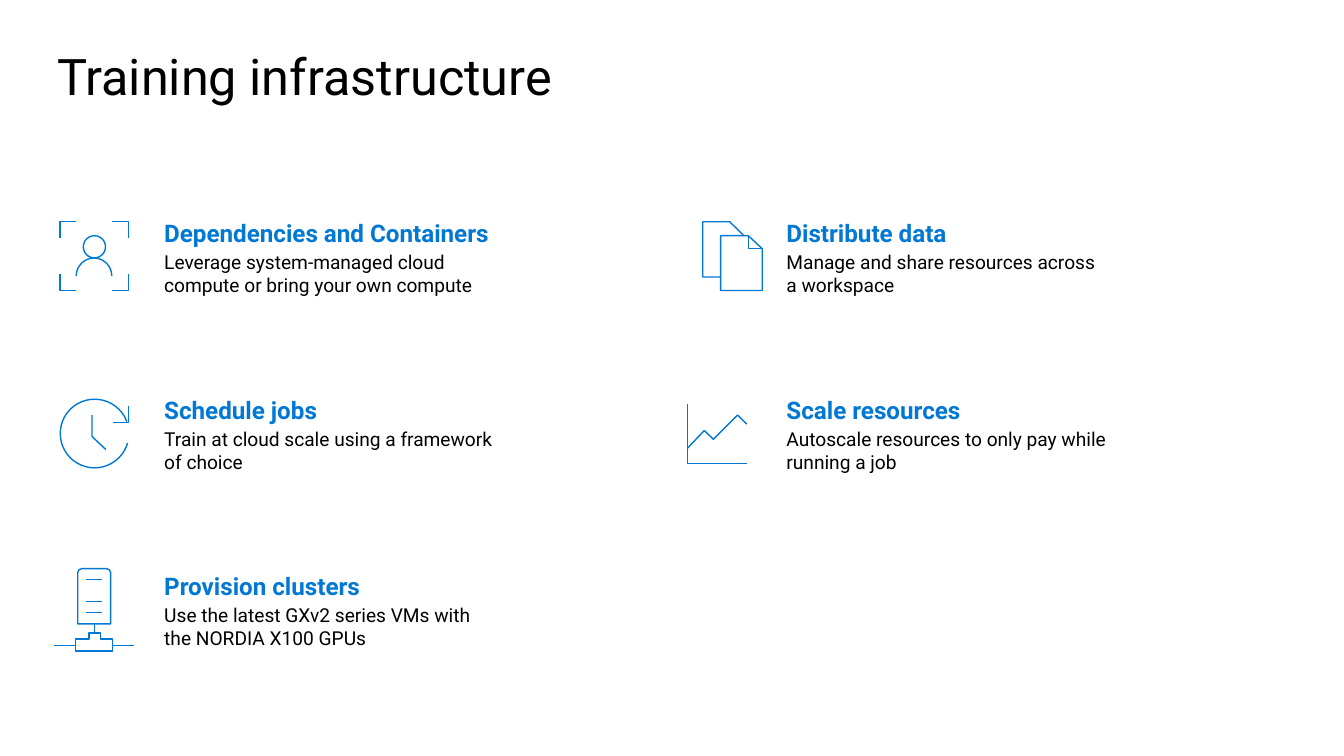
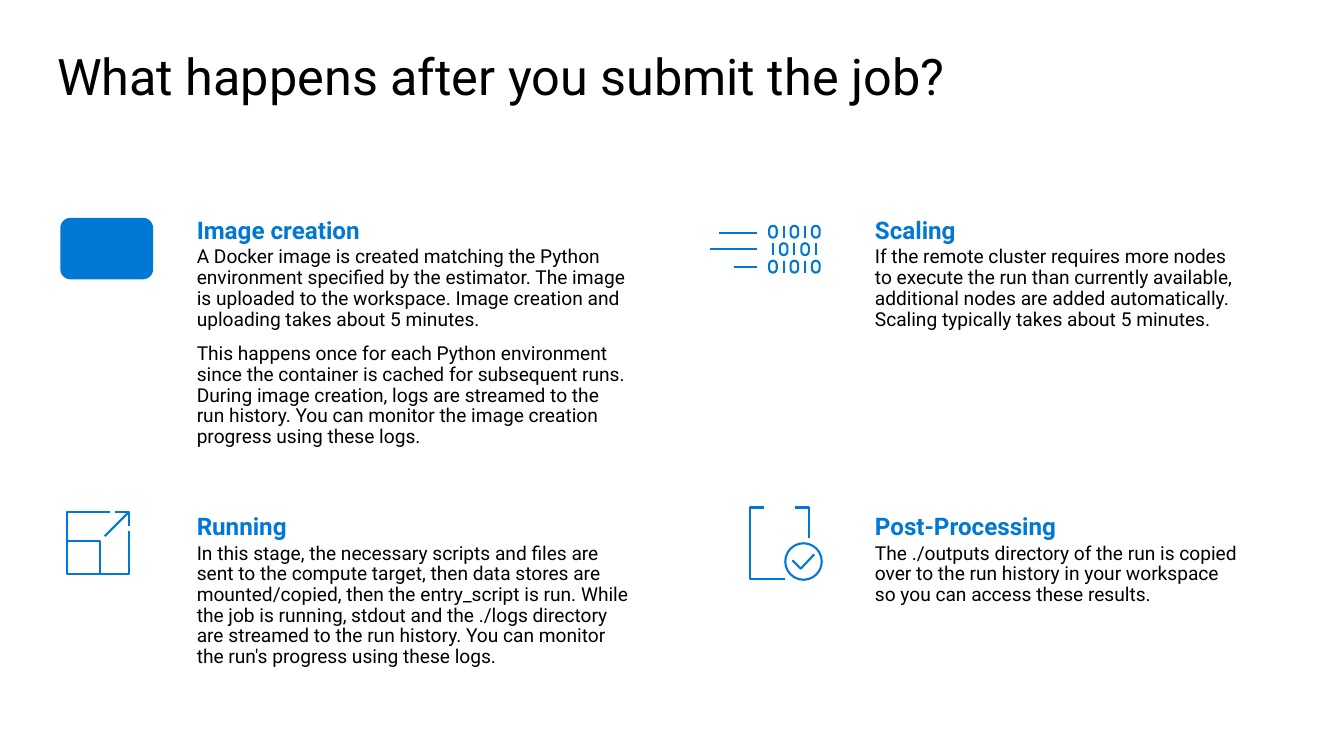
from lxml.etree import SubElement
from pptx import Presentation
from pptx.dml.color import RGBColor
from pptx.enum.shapes import MSO_CONNECTOR, MSO_SHAPE
from pptx.enum.text import MSO_ANCHOR, MSO_AUTO_SIZE, PP_ALIGN
from pptx.oxml.ns import qn
from pptx.util import Cm, Pt

BLUE = RGBColor(0x00, 0x78, 0xD4)
BLACK = RGBColor(0x00, 0x00, 0x00)
FONT = "Roboto"
THIN = Pt(1)
MEDIUM = Pt(1.5)


def format_runs(paragraph, size, color, bold=False):
    for run in paragraph.runs:
        run.font.name = FONT
        run.font.size = Pt(size)
        run.font.color.rgb = color
        run.font.bold = bold


def outline_shape(shape, weight):
    shape.shadow.inherit = False
    shape.fill.background()
    shape.line.color.rgb = BLUE
    shape.line.width = weight


presentation = Presentation()
presentation.slide_width = Cm(33.87)
presentation.slide_height = Cm(19.05)

row_tops = [5.38 + 4.45 * row for row in range(3)]
infrastructure_topics = [
    (3.89, row_tops[0], 9.27, 2.26, "Dependencies and Containers",
     ["Leverage system-managed cloud compute or bring your own compute"]),
    (19.57, row_tops[0], 8.4, 2.26, "Distribute data",
     ["Manage and share resources across a workspace"]),
    (3.89, row_tops[1], 8.79, 2.26, "Schedule jobs",
     ["Train at cloud scale using a framework of choice"]),
    (19.57, row_tops[1], 8.79, 2.26, "Scale resources",
     ["Autoscale resources to only pay while running a job"]),
    (3.89, row_tops[2], 8.79, 2.26, "Provision clusters",
     ["Use the latest GXv2 series VMs with the NORDIA X100 GPUs"]),
]
job_topics = [
    (4.71, 5.38, 11.43, 6.1, "Image creation",
     ["A Docker image is created matching the Python environment specified by the "
      "estimator. The image is uploaded to the workspace. Image creation and "
      "uploading takes about 5 minutes.",
      "This happens once for each Python environment since the container is cached "
      "for subsequent runs. During image creation, logs are streamed to the run "
      "history. You can monitor the image creation progress using these logs."]),
    (21.8, 5.38, 9.8, 3.1, "Scaling",
     ["If the remote cluster requires more nodes to execute the run than currently "
      "available, additional nodes are added automatically. Scaling typically takes "
      "about 5 minutes."]),
    (4.71, 12.84, 11.43, 4.17, "Running",
     ["In this stage, the necessary scripts and files are sent to the compute target, "
      "then data stores are mounted/copied, then the entry_script is run. While the "
      "job is running, stdout and the ./logs directory are streamed to the run "
      "history. You can monitor the run's progress using these logs."]),
    (21.8, 12.84, 9.8, 2.57, "Post-Processing",
     ["The ./outputs directory of the run is copied over to the run history in your "
      "workspace so you can access these results."]),
]
pages = [
    ("Training infrastructure", 1.0, infrastructure_topics),
    ("What happens after you submit the job?", 0.9, job_topics),
]

for title_text, line_spacing, topics in pages:
    slide = presentation.slides.add_slide(presentation.slide_layouts[5])
    title = slide.shapes.title
    title.left, title.top, title.width, title.height = Cm(1.19), Cm(0.84), Cm(31.5), Cm(2.11)
    text_frame = title.text_frame
    text_frame.text = title_text
    text_frame.word_wrap = True
    text_frame.auto_size = MSO_AUTO_SIZE.NONE
    text_frame.vertical_anchor = MSO_ANCHOR.TOP
    text_frame.margin_left, text_frame.margin_top = Cm(0.25), Cm(0.46)
    text_frame.margin_right = text_frame.margin_bottom = 0
    paragraph = text_frame.paragraphs[0]
    paragraph.alignment = PP_ALIGN.LEFT
    paragraph.line_spacing = 0.9
    format_runs(paragraph, 36, BLACK)

    for left, top, width, height, heading, body in topics:
        text_box = slide.shapes.add_textbox(Cm(left), Cm(top), Cm(width), Cm(height))
        text_frame = text_box.text_frame
        text_frame.word_wrap = True
        text_frame.text = "\n".join([heading] + body)
        for paragraph in text_frame.paragraphs:
            paragraph.line_spacing = line_spacing
            paragraph.space_after = Pt(9.9)
            format_runs(paragraph, 13.7, BLACK)
        heading_paragraph = text_frame.paragraphs[0]
        heading_paragraph.space_after = Pt(2)
        format_runs(heading_paragraph, 17.3, BLUE, True)

infrastructure_slide, job_slide = presentation.slides

frame_left, frame_top, frame_size, corner = 1.51, 5.59, 1.73, 0.41
frame_corners = []
for x, inward_x in ((frame_left, corner), (frame_left + frame_size, -corner)):
    for y, inward_y in ((frame_top, corner), (frame_top + frame_size, -corner)):
        frame_corners.append([(x + inward_x, y), (x, y), (x, y + inward_y)])

clock_strokes = [
    [(2.84, 10.64), (3.24, 10.64), (3.24, 10.24)],
    [(2.67, 11.33), (2.32, 11), (2.32, 10.46)],
]
chart_strokes = [
    [(18.82, 11.68), (17.32, 11.68), (17.32, 10.19)],
    [(18.82, 10.69), (18.59, 10.46), (17.98, 11.07), (17.75, 10.85), (17.32, 11.3)],
]
document_strokes = [
    [(19.21, 6.27), (18.86, 6.27), (18.86, 5.94)],
    [(19.21, 6.27), (18.86, 5.94), (18.16, 5.94), (18.16, 7.32), (19.21, 7.32), (19.21, 6.27)],
    [(18.75, 5.94), (18.39, 5.59), (17.71, 5.59), (17.71, 6.98), (18.16, 6.98)],
]
server_strokes = [
    [(1.9, 16.41), (1.9, 16.1), (2.24, 16.1), (2.24, 15.95), (2.54, 15.95),
     (2.54, 16.1), (2.84, 16.1), (2.84, 16.41), (1.9, 16.41)],
    [(1.9, 16.26), (1.37, 16.26)],
    [(2.84, 16.26), (3.38, 16.26)],
    [(2.39, 15.95), (2.39, 15.72)],
    [(2.79, 15.72), (2.79, 14.43), (2.76, 14.36), (2.69, 14.33), (2.06, 14.33),
     (1.99, 14.36), (1.96, 14.43), (1.96, 15.72), (2.79, 15.72)],
]
for vent_y in (14.6, 15.16, 15.44):
    server_strokes.append([(2.18, vent_y), (2.57, vent_y)])
expand_strokes = [
    [(2.9, 12.9), (3.25, 12.9), (3.25, 13.26)],
    [(2.77, 12.9), (1.68, 12.9), (1.68, 14.47), (3.25, 14.47), (3.25, 13.39)],
    [(2.64, 13.51), (3.25, 12.9)],
    [(2.52, 14.47), (2.52, 13.64), (1.68, 13.64)],
]
clipboard_strokes = [
    [(19.79, 14.59), (18.9, 14.59), (18.9, 12.79), (19.25, 12.79)],
    [(20.04, 12.79), (20.38, 12.79), (20.38, 13.56)],
    [(19.97, 14.12), (20.18, 14.33), (20.52, 13.97)],
]
outlines = [
    (infrastructure_slide, THIN, frame_corners),
    (infrastructure_slide, THIN, clock_strokes),
    (infrastructure_slide, THIN, chart_strokes),
    (infrastructure_slide, THIN, document_strokes),
    (infrastructure_slide, THIN, server_strokes),
    (job_slide, MEDIUM, expand_strokes),
    (job_slide, MEDIUM, clipboard_strokes),
]
for slide, weight, strokes in outlines:
    start_x, start_y = strokes[0][0]
    builder = slide.shapes.build_freeform(Cm(start_x), Cm(start_y))
    for index, stroke in enumerate(strokes):
        points = [(Cm(x), Cm(y)) for x, y in stroke]
        if index:
            builder.move_to(*points[0])
        builder.add_line_segments(points[1:], close=False)
    outline_shape(builder.convert_to_shape(), weight)

ANGLE_UNIT = 0.6
presets = [
    (infrastructure_slide, THIN, MSO_SHAPE.OVAL, 2.1, 5.94, 0.56, 0.56, []),
    (infrastructure_slide, THIN, MSO_SHAPE.ARC, 1.92, 6.5, 0.9, 0.92, [180 * ANGLE_UNIT, 0]),
    (infrastructure_slide, THIN, MSO_SHAPE.ARC, 1.52, 10.06, 1.73, 1.73,
     [16 * ANGLE_UNIT, 340 * ANGLE_UNIT]),
    (job_slide, MEDIUM, MSO_SHAPE.OVAL, 19.79, 13.69, 0.92, 0.92, []),
]
lines = [(18.13, 5.87, 19.08, 5.87), (17.9, 6.27, 19.08, 6.27), (18.49, 6.73, 19.08, 6.73)]

digit_width, digit_height = 0.19, 0.3
for row, digits in enumerate(("01010", "10101", "01010")):
    digit_top = 5.69 + 0.44 * row
    for column, digit in enumerate(digits):
        center = 19.48 + 0.27 * column
        if digit == "1":
            lines.append((center, digit_top, center, digit_top + digit_height))
        else:
            presets.append((job_slide, MEDIUM, MSO_SHAPE.ROUNDED_RECTANGLE,
                            center - digit_width / 2, digit_top, digit_width, digit_height, [0.5]))

for slide, weight, kind, left, top, width, height, adjustments in presets:
    shape = slide.shapes.add_shape(kind, Cm(left), Cm(top), Cm(width), Cm(height))
    for index, value in enumerate(adjustments):
        shape.adjustments[index] = value
    outline_shape(shape, weight)

for begin_x, begin_y, end_x, end_y in lines:
    connector = job_slide.shapes.add_connector(
        MSO_CONNECTOR.STRAIGHT, Cm(begin_x), Cm(begin_y), Cm(end_x), Cm(end_y))
    connector.line.color.rgb = BLUE
    connector.line.width = MEDIUM
    SubElement(connector._element.spPr, qn("a:effectLst"))

container_block = job_slide.shapes.add_shape(
    MSO_SHAPE.ROUNDED_RECTANGLE, Cm(1.52), Cm(5.49), Cm(2.34), Cm(1.55))
container_block.shadow.inherit = False
container_block.fill.solid()
container_block.fill.fore_color.rgb = BLUE
container_block.line.fill.background()

presentation.save("out.pptx")
